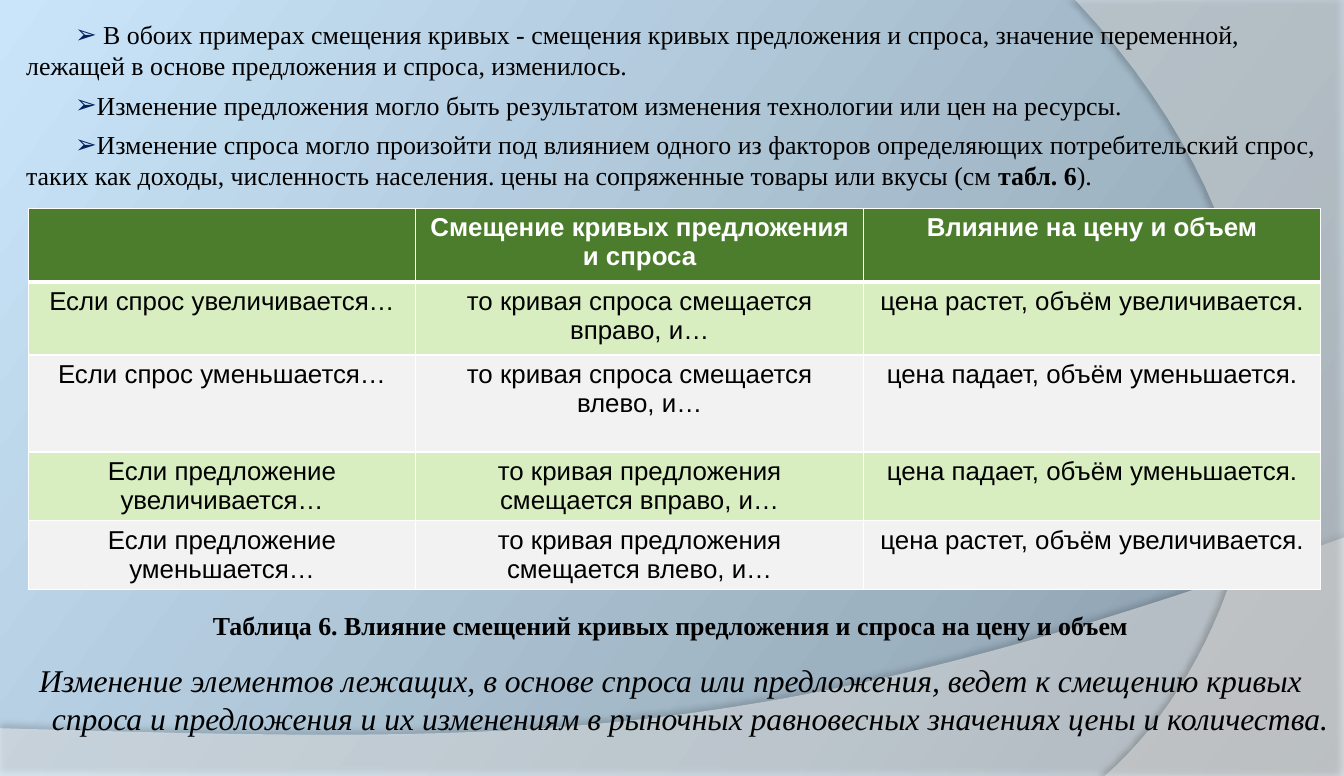
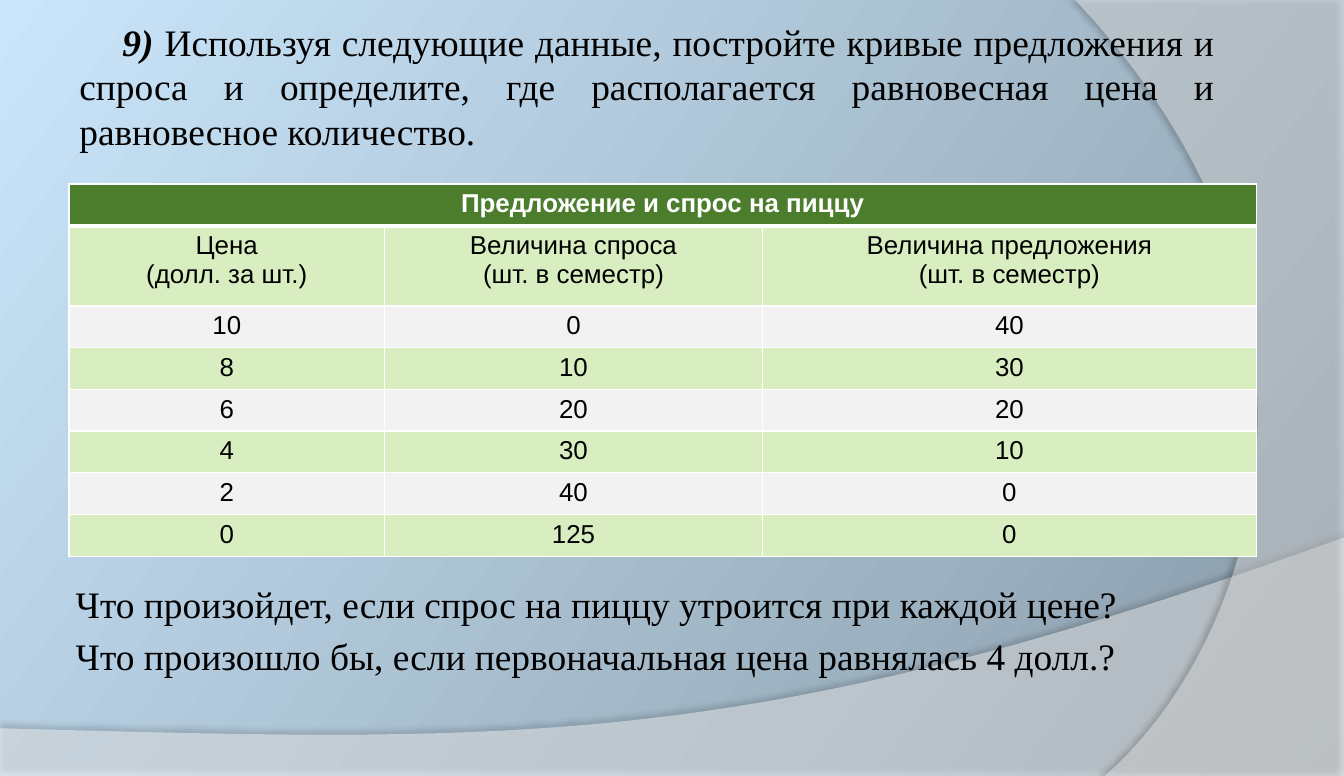
from copy import deepcopy
from dataclasses import dataclass
from typing import NamedTuple

from pptx import Presentation, oxml
from pptx.dml.color import RGBColor
from pptx.enum import text as t
from pptx.oxml import ns
from pptx.util import Pt


@dataclass(frozen=True)
class Theme:
    """Colours, fonts and type sizes of the presentation."""

    text_font: str = "Times New Roman"
    table_font: str = "Arial"
    ink: str = "000000"
    white: str = "FFFFFF"
    header: str = "4B7D2C"
    bands: tuple = ("D8EEC0", "F2F2F2")
    bullet: str = "002060"
    background: tuple = ((0, "8495A2"), (0.3, "9DB2C1"), (1, "CAE5FA"))
    small: int = 18
    conclusion: int = 22
    large: int = 26


class Box(NamedTuple):
    """A rectangle in points."""

    left: float
    top: float
    width: float
    height: float

    def lengths(self):
        """Return the four sides as slide lengths."""
        return [Pt(value) for value in self]

    def point(self, x, y):
        """Return the slide position of a fraction of the box."""
        return Pt(self.left + x * self.width), Pt(self.top + y * self.height)


THEME = Theme()
PAGE = Box(0, 0, 935, 540)
CENTER, LEFT, JUSTIFY = t.PP_ALIGN.CENTER, t.PP_ALIGN.LEFT, t.PP_ALIGN.JUSTIFY


def colour(value):
    """Turn a hex string into a colour."""
    return RGBColor.from_string(value)


def add_xml(parent, markup):
    """Append one drawing element written without its namespace."""
    name, rest = markup.split(" ", 1)
    element = oxml.parse_xml(f"<a:{name} {ns.nsdecls('a')} {rest}")
    parent.append(element)


def curve(start, first, second, end, steps=40):
    """Return points along a cubic curve."""
    points = []
    for step in range(1, steps + 1):
        s = step / steps
        weights = ((1 - s) ** 3, 3 * s * (1 - s) ** 2, 3 * s * s * (1 - s), s ** 3)
        corners = (start, first, second, end)
        points.append(tuple(sum(w * c[axis] for w, c in zip(weights, corners))
                            for axis in (0, 1)))
    return points


def add_sweep(slide, box, outline, opacity, shadow):
    """Draw a translucent white sweep whose outline is in fractions of the box."""
    points = [box.point(x, y) for x, y in outline]
    builder = slide.shapes.build_freeform(*points[0], scale=1.0)
    builder.add_line_segments(points[1:], close=True)
    shape = builder.convert_to_shape()
    shape.line.fill.background()
    shape.fill.solid()
    shape.fill.fore_color.rgb = colour(THEME.white)
    fill = shape.element.spPr.find(ns.qn("a:solidFill"))
    add_xml(fill[0], f'alpha val="{opacity * 1000}"/>')
    strength, distance, direction = shadow
    add_xml(shape.element.spPr,
            f'effectLst ><a:outerShdw blurRad="{Pt(4)}" dist="{Pt(distance)}" '
            f'dir="{direction * 60000}" algn="ctr" rotWithShape="0">'
            f'<a:srgbClr val="{THEME.ink}"><a:alpha val="{strength * 1000}"/>'
            '</a:srgbClr></a:outerShdw></a:effectLst>')
    return shape


def set_background(layout):
    """Give the layout its three-colour gradient."""
    fill = layout.background.fill
    fill.gradient()
    fill.gradient_angle = 143
    stops = layout.element.find(".//" + ns.qn("a:gsLst"))
    stops.append(deepcopy(stops[-1]))
    for stop, (position, value) in zip(fill.gradient_stops, THEME.background):
        stop.position = position
        stop.color.rgb = colour(value)


def decorate_layout(layout, slide):
    """Place the gradient and both sweeps on the shared layout."""
    set_background(layout)
    wave = [(0, 0.8), (0, 1), (1, 1), (1, 0)]
    wave += curve((1, 0), (0.56, 0.9), (0.39, 0.86), (0, 0.8))
    ribbon = [(1, 0), (1, 1), (0.11, 1)]
    ribbon += curve((0.11, 1), (0.67, 0.83), (1.09, 0.4), (0, 0))
    sweeps = (
        add_sweep(slide, Box(0, 374, PAGE.width, 166), wave, 45, (35, 3.5, 270)),
        add_sweep(slide, Box(748, 0, 187, PAGE.height), ribbon, 40, (45, 4, 180)),
    )
    for index, shape in enumerate(sweeps):
        shape.element.nvSpPr.cNvPr.set("id", str(20 + index))
        layout.shapes.element.insert(2 + index, shape.element)


def format_run(run, font, size, value, style=""):
    """Format a run; the style holds b for bold and i for italic."""
    run.font.name = font
    run.font.size = Pt(size)
    run.font.color.rgb = colour(value)
    run.font.bold = "b" in style
    run.font.italic = "i" in style


def write(shape, box, paragraphs, size, align=LEFT, margin=0, indent=0, before=0,
          bullet=None):
    """Place a text shape and fill it with paragraphs of (text, style) runs."""
    shape.left, shape.top, shape.width, shape.height = box.lengths()
    frame = shape.text_frame
    frame.word_wrap = True
    frame.auto_size = t.MSO_AUTO_SIZE.NONE
    frame.vertical_anchor = t.MSO_ANCHOR.TOP
    for index, runs in enumerate(paragraphs):
        paragraph = frame.add_paragraph() if index else frame.paragraphs[0]
        paragraph.alignment = align
        paragraph.space_before = Pt(before if index or not bullet else 0)
        for content, style in runs:
            run = paragraph.add_run()
            run.text = content
            format_run(run, THEME.text_font, size, THEME.ink, style)
        properties = paragraph._p.get_or_add_pPr()
        properties.set("marL", str(Pt(margin)))
        properties.set("indent", str(Pt(indent)))
        if bullet:
            add_xml(properties, f'buClr ><a:srgbClr val="{THEME.bullet}"/></a:buClr>')
            add_xml(properties, f'buFont typeface="{THEME.table_font}"/>')
            add_xml(properties, f'buChar char="{bullet}"/>')
        else:
            add_xml(properties, "buNone />")


def style_cell(cell, row):
    """Give a cell the borders, fill and type of its row."""
    widths = {"lnL": 1, "lnR": 1, "lnT": 3 if row == 1 else 1, "lnB": 1 if row else 3}
    for side, width in widths.items():
        add_xml(cell._tc.get_or_add_tcPr(),
                f'{side} w="{Pt(width)}"><a:solidFill><a:srgbClr val="{THEME.white}"/>'
                f'</a:solidFill></a:{side}>')
    cell.fill.solid()
    cell.fill.fore_color.rgb = colour(THEME.bands[(row - 1) % 2] if row else THEME.header)
    cell.margin_left = cell.margin_right = Pt(9.4)
    for paragraph in cell.text_frame.paragraphs:
        paragraph.alignment = CENTER
        for run in paragraph.runs:
            format_run(run, THEME.table_font, THEME.small,
                       THEME.ink if row else THEME.white, "" if row else "b")


def add_banded_table(slide, left, top, widths, heights, rows):
    """Add a table with a green header and alternating bands."""
    box = Box(left, top, sum(widths), sum(heights))
    table = slide.shapes.add_table(len(rows), len(widths), *box.lengths()).table
    for column, width in zip(table.columns, widths):
        column.width = Pt(width)
    for index, (height, values) in enumerate(zip(heights, rows)):
        table.rows[index].height = Pt(height)
        for column in range(len(widths)):
            cell = table.cell(index, column)
            if column < len(values) and values[column]:
                cell.text_frame.text = values[column]
            style_cell(cell, index)
        if len(values) == 1:
            table.cell(index, 0).merge(table.cell(index, len(widths) - 1))


def fill_shift_slide(slide):
    """Build the slide on shifts of the supply and demand curves."""
    write(slide.placeholders[1], Box(11, 9.4, 916, 128), [
        [(" В обоих примерах смещения кривых - смещения кривых предложения и спроса, "
          "значение переменной, лежащей в основе предложения и спроса, изменилось.", "")],
        [("Изменение предложения могло быть результатом изменения технологии или цен "
          "на ресурсы.", "")],
        [("Изменение спроса могло произойти под влиянием одного из факторов "
          "определяющих потребительский спрос, таких как доходы, численность населения. "
          "цены на сопряженные товары или вкусы (см ", ""), ("табл. 6", "b"), (").", "")],
    ], THEME.small, indent=34, before=6, bullet="➢")
    rises, falls = "цена растет, объём увеличивается.", "цена падает, объём уменьшается."
    cases = (("спрос увеличивается", "спроса", "вправо", rises),
             ("спрос уменьшается", "спроса", "влево", falls),
             ("предложение увеличивается", "предложения", "вправо", falls),
             ("предложение уменьшается", "предложения", "влево", rises))
    rows = [("", "Смещение кривых предложения и спроса", "Влияние на цену и объем")]
    rows += [(f"Если {change}…", f"то кривая {name} смещается {side}, и…", effect)
             for change, name, side, effect in cases]
    add_banded_table(slide, 20, 145, (269, 312, 317.5), (51, 51, 67.5, 48, 48), rows)
    write(slide.shapes.title, Box(106.5, 420.5, 720, 29),
          [[("Таблица 6. Влияние смещений кривых предложения и спроса на цену и объем", "b")]],
          THEME.small, CENTER, 27, -27, 3.6)
    conclusion = Box(0, 456.5, 933, 66)
    write(slide.shapes.add_textbox(*conclusion.lengths()), conclusion,
          [[("Изменение элементов лежащих, в основе спроса или предложения, ведет к смещению "
             "кривых спроса и предложения и их изменениям в рыночных равновесных значениях "
             "цены и количества.", "i")]],
          THEME.conclusion, CENTER, 27, -27, 4.4)


def fill_exercise_slide(slide):
    """Build the exercise with its data table and questions."""
    write(slide.shapes.title, Box(48, 9.4, 805, 119),
          [[("9) ", "bi"),
            ("Используя следующие данные, постройте кривые предложения и спроса и "
             "определите, где располагается равновесная цена и равновесное количество.", "")]],
          THEME.large, JUSTIFY, indent=30, before=5.2)
    prices, demand, supply = range(10, -1, -2), (0, 10, 20, 30, 40, 125), (40, 30, 20, 10, 0, 0)
    rows = [("Предложение и спрос на пиццу",),
            ("Цена\n(долл. за шт.)", "Величина спроса\n(шт. в семестр)",
             "Величина предложения\n(шт. в семестр)")]
    rows += [tuple(map(str, values)) for values in zip(prices, demand, supply)]
    add_banded_table(slide, 48, 128, (219.5, 263, 343.5), [29, 56] + [29] * 6, rows)
    write(slide.placeholders[1], Box(42.5, 400.5, 878, 108),
          [[("Что произойдет, если спрос на пиццу утроится при каждой цене?", "")],
           [("Что произошло бы, если первоначальная цена равнялась 4 долл.?", "")]],
          THEME.large, margin=33, indent=-30, before=5.2)


def main():
    """Build and save the presentation."""
    presentation = Presentation()
    presentation.slide_width, presentation.slide_height = PAGE.lengths()[2:]
    layout = presentation.slide_layouts[1]
    shifts, exercise = (presentation.slides.add_slide(layout) for _ in range(2))
    decorate_layout(layout, shifts)
    fill_shift_slide(shifts)
    fill_exercise_slide(exercise)
    presentation.save("out.pptx")


if __name__ == "__main__":
    main()
